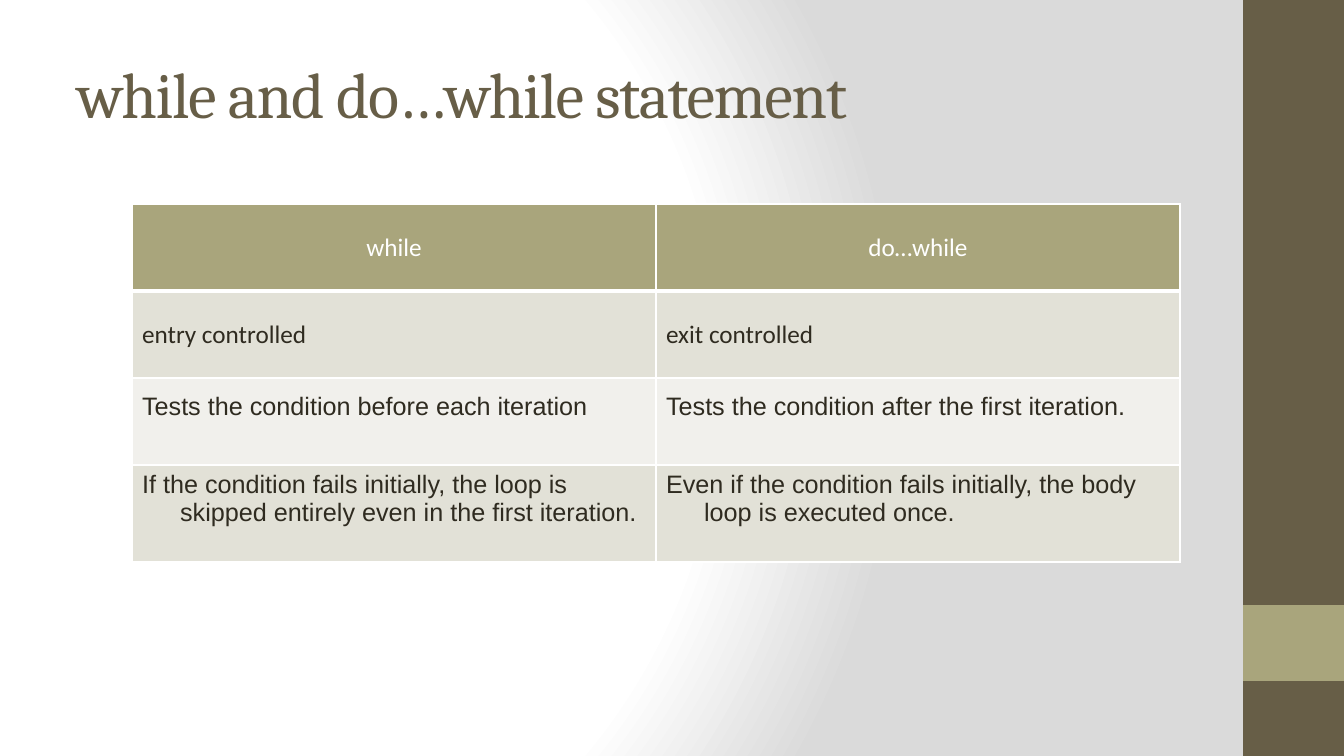
from lxml.etree import SubElement
from pptx import Presentation
from pptx.dml.color import RGBColor
from pptx.enum.shapes import MSO_SHAPE
from pptx.enum.text import MSO_ANCHOR, MSO_AUTO_SIZE, PP_ALIGN
from pptx.oxml import parse_xml
from pptx.oxml.ns import nsdecls, qn
from pptx.util import Pt

PX = 12192000 // 1344 + 1  # EMU per px
COLORS = {
    "brown": "675E47", "olive": "A9A57C", "white": "FFFFFF", "gray": "DADADA",
    "text": "2F2B20", "band_dark": "E2E1D7", "band_light": "F1F0EC",
}


def add_run(paragraph, text, font_name, size, color):
    run = paragraph.add_run()
    run.text = text
    run.font.name = font_name
    run.font.size = Pt(size)
    run.font.bold = False
    run.font.color.rgb = RGBColor.from_string(COLORS[color])
    return run


def add_border(cell_properties, side, width):
    line = SubElement(cell_properties, qn(f"a:ln{side}"), w=str(Pt(width)))
    fill = SubElement(line, qn("a:solidFill"))
    SubElement(fill, qn("a:srgbClr"), val=COLORS["white"])


presentation = Presentation()
presentation.slide_width = 12192000
presentation.slide_height = 6858000
slide = presentation.slides.add_slide(presentation.slide_layouts[5])

# Background: circular gradient
slide.background.fill.gradient()
gradient = slide.background._cSld.find(".//" + qn("a:gradFill"))
stops = "".join(
    f'<a:gs pos="{position * 1000}"><a:srgbClr val="{COLORS[color]}"/></a:gs>'
    for position, color in [(0, "white"), (75, "white"), (100, "gray")]
)
gradient.getparent().replace(gradient, parse_xml(
    f'<a:gradFill {nsdecls("a")} rotWithShape="1"><a:gsLst>{stops}</a:gsLst>'
    '<a:path path="circle">'
    '<a:fillToRect l="20000" t="50000" r="100000" b="50000"/>'
    '</a:path></a:gradFill>'
))

# Side bands
for top, height, color in [(0, 756, "brown"), (605, 76, "olive")]:
    band = slide.shapes.add_shape(
        MSO_SHAPE.RECTANGLE, 1243 * PX, top * PX, 101 * PX, height * PX)
    band.shadow.inherit = False
    band.fill.solid()
    band.fill.fore_color.rgb = RGBColor.from_string(COLORS[color])
    band.line.fill.background()

# Title
title = slide.shapes.title
title.left, title.top, title.width, title.height = (
    67 * PX, 30 * PX, 1120 * PX, 126 * PX)
title.text_frame.word_wrap = True
title.text_frame.auto_size = MSO_AUTO_SIZE.NONE
title.text_frame.vertical_anchor = MSO_ANCHOR.MIDDLE
title_paragraph = title.text_frame.paragraphs[0]
title_paragraph.alignment = PP_ALIGN.LEFT
title_run = add_run(
    title_paragraph, "while and do…while statement", "Cambria", 46, "brown")
title_run._r.get_or_add_rPr().set("spc", "-100")

# Comparison table: height, fill, font, text colour, space below, texts
ROWS = [
    (87, "olive", "Calibri", "white", 5, ["while", "do…while"]),
    (87, "band_dark", "Calibri", "text", 5,
     ["entry controlled", "exit controlled"]),
    (87, "band_light", "Arial", "text", 34,
     ["Tests the condition before each iteration",
      "Tests the condition after the first iteration."]),
    (97, "band_dark", "Arial", "text", 34,
     ["If the condition fails initially, the loop is skipped entirely "
      "even in the first iteration.",
      "Even if the condition fails initially, the body loop is executed once."]),
]
table = slide.shapes.add_table(
    len(ROWS), 2, 132 * PX, 204 * PX, 1048 * PX, 358 * PX).table

for row_index, (height, fill, font_name, color, below, texts) in enumerate(ROWS):
    is_header = row_index == 0
    table.rows[row_index].height = height * PX
    for column_index, text in enumerate(texts):
        cell = table.cell(row_index, column_index)
        cell.vertical_anchor = MSO_ANCHOR.MIDDLE
        cell.margin_bottom = below * PX
        cell_properties = cell._tc.get_or_add_tcPr()
        for side in "LRTB":
            add_border(cell_properties, side, 3 if is_header and side == "B" else 1)
        cell.fill.solid()
        cell.fill.fore_color.rgb = RGBColor.from_string(COLORS[fill])

        paragraph = cell.text_frame.paragraphs[0]
        if is_header:
            paragraph.alignment = PP_ALIGN.CENTER
        else:  # hanging indent
            paragraph_properties = paragraph._p.get_or_add_pPr()
            paragraph_properties.set("marL", str(38 * PX))
            paragraph_properties.set("indent", str(-38 * PX))
        add_run(paragraph, text, font_name, 18, color)

presentation.save("out.pptx")
